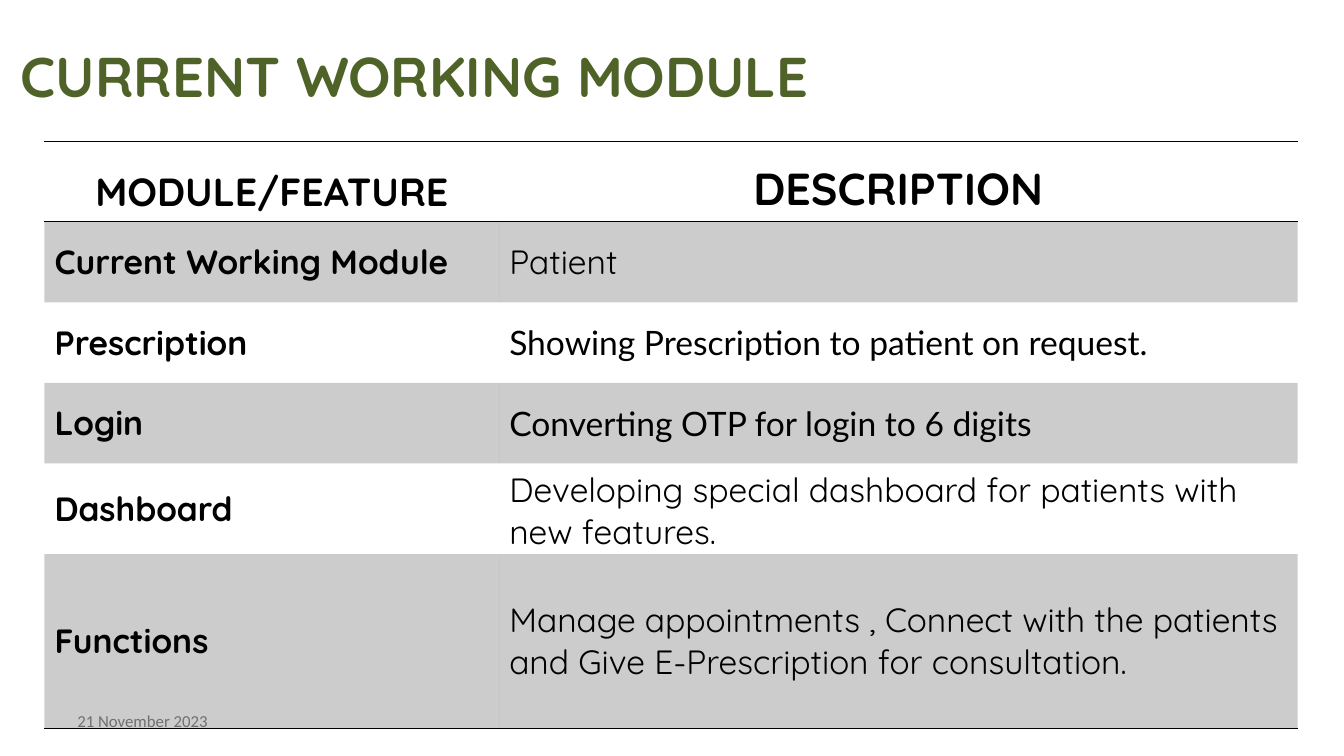
from lxml import etree
from pptx import Presentation
from pptx import util as u
from pptx.dml.color import RGBColor
from pptx.enum import text
from pptx.oxml.ns import qn

BLACK = "000000"
HEADING_FONT = "Quicksand"
BODY_FONT = "Lato"
PLAIN_TABLE_STYLE = "{2D5ABB26-0587-4C30-8999-92F81FD0307C}"
HEADINGS = [("MODULE/FEATURE", 28), ("DESCRIPTION", 32)]
MODULES = [
    ("Current Working Module", "Patient", HEADING_FONT),
    ("Prescription", "Showing Prescription to patient on request.", BODY_FONT),
    ("Login", "Converting OTP for login to 6 digits", BODY_FONT),
    ("Dashboard", "Developing special dashboard for patients with new features.", HEADING_FONT),
    ("Functions", "Manage appointments , Connect with the patients and Give "
     "E-Prescription for consultation.", HEADING_FONT),
]
COLUMN_WIDTHS = [11.46, 20.12]
ROW_HEIGHTS = [2.03] * 5 + [4.39]


def color(value):
    """Return the colour for a hex string."""
    return RGBColor.from_string(value)


def write(frame, content, size, font, tint=BLACK, bold=False, align=text.PP_ALIGN.LEFT):
    """Put one formatted paragraph into a text frame."""
    frame.text = content
    frame.word_wrap = True
    paragraph = frame.paragraphs[0]
    paragraph.alignment = align
    for run in paragraph.runs:
        run.font.size = u.Pt(size)
        run.font.name = font
        run.font.bold = bold
        run.font.color.rgb = color(tint)


def add_title(slide, content):
    """Place and format the title placeholder."""
    title = slide.shapes.title
    title.left, title.top = u.Cm(-0.25), u.Cm(0.91)
    title.width, title.height = u.Cm(21.79), u.Cm(2.01)
    frame = title.text_frame
    write(frame, content, 40, HEADING_FONT, "4F6228", True, text.PP_ALIGN.CENTER)
    frame.auto_size = text.MSO_AUTO_SIZE.NONE
    frame.vertical_anchor = text.MSO_ANCHOR.TOP


def add_date(slide, content):
    """Add the date in the lower left corner."""
    box = slide.shapes.add_textbox(u.Cm(1.7), u.Cm(17.65), u.Cm(7.9), u.Cm(1.02))
    write(box.text_frame, content, 12, "Calibri", "8C8C8C")
    box.text_frame.vertical_anchor = text.MSO_ANCHOR.MIDDLE


def add_border(cell, side):
    """Draw a thin black border on one side of a cell."""
    properties = cell._tc.get_or_add_tcPr()
    line = etree.SubElement(properties, qn(f"a:{side}"), w=str(u.Pt(1)))
    fill = etree.SubElement(line, qn("a:solidFill"))
    etree.SubElement(fill, qn("a:srgbClr"), val=BLACK)


def shade(cell):
    """Fill a cell with black at 20 % opacity."""
    cell.fill.solid()
    cell.fill.fore_color.rgb = color(BLACK)
    tint = cell._tc.tcPr.find(qn("a:solidFill")).find(qn("a:srgbClr"))
    etree.SubElement(tint, qn("a:alpha"), val="20000")


def style_cell(cell, row, last_row):
    """Set the anchor, borders and band fill that a cell's row calls for."""
    cell.vertical_anchor = text.MSO_ANCHOR.MIDDLE if row else text.MSO_ANCHOR.BOTTOM
    if row == 0:
        add_border(cell, "lnT")
    if row in (0, last_row):
        add_border(cell, "lnB")
    if row % 2:
        shade(cell)
    else:
        cell.fill.background()


def add_module_table(slide):
    """Add the table of modules and their descriptions."""
    shape = slide.shapes.add_table(
        len(ROW_HEIGHTS), len(COLUMN_WIDTHS), u.Cm(1.12), u.Cm(3.56),
        u.Cm(sum(COLUMN_WIDTHS)), u.Cm(sum(ROW_HEIGHTS)))
    table = shape.table
    table.first_row = table.horz_banding = False
    table._tbl.tblPr.find(qn("a:tableStyleId")).text = PLAIN_TABLE_STYLE
    for column, width in zip(table.columns, COLUMN_WIDTHS):
        column.width = u.Cm(width)
    for row, height in zip(table.rows, ROW_HEIGHTS):
        row.height = u.Cm(height)
    for index, (heading, size) in enumerate(HEADINGS):
        write(table.cell(0, index).text_frame, heading, size, HEADING_FONT,
              bold=True, align=text.PP_ALIGN.CENTER)
    for index, (module, description, font) in enumerate(MODULES, 1):
        write(table.cell(index, 0).text_frame, module, 24, HEADING_FONT, bold=True)
        write(table.cell(index, 1).text_frame, description, 24, font)
    for index, row in enumerate(table.rows):
        for cell in row.cells:
            style_cell(cell, index, len(MODULES))


def main():
    """Build and save the slide."""
    presentation = Presentation()
    presentation.slide_width, presentation.slide_height = u.Cm(33.87), u.Cm(19.05)
    slide = presentation.slides.add_slide(presentation.slide_layouts[5])
    add_date(slide, "21 November 2023")
    add_title(slide, "CURRENT WORKING MODULE ")
    add_module_table(slide)
    presentation.save("out.pptx")


if __name__ == "__main__":
    main()
